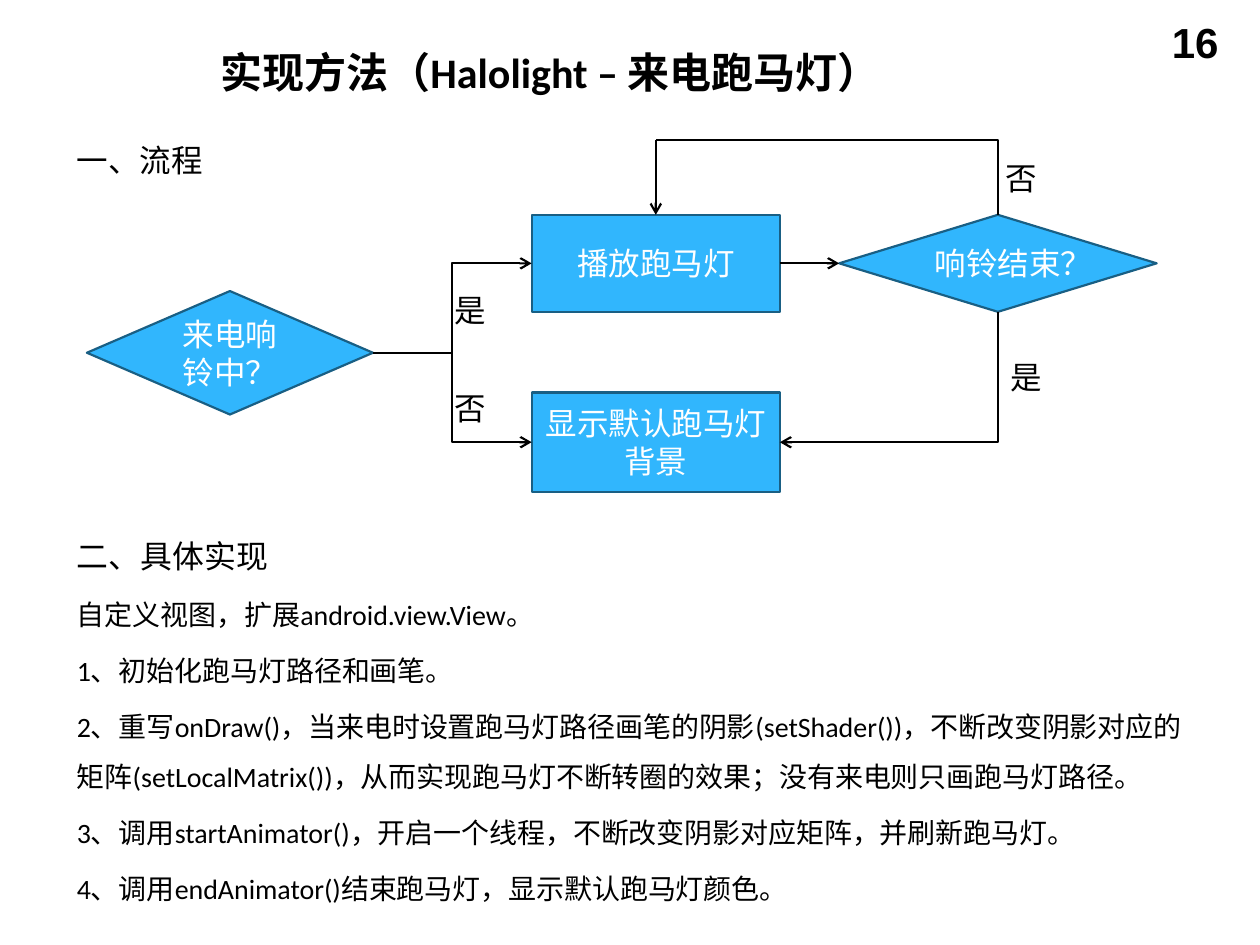
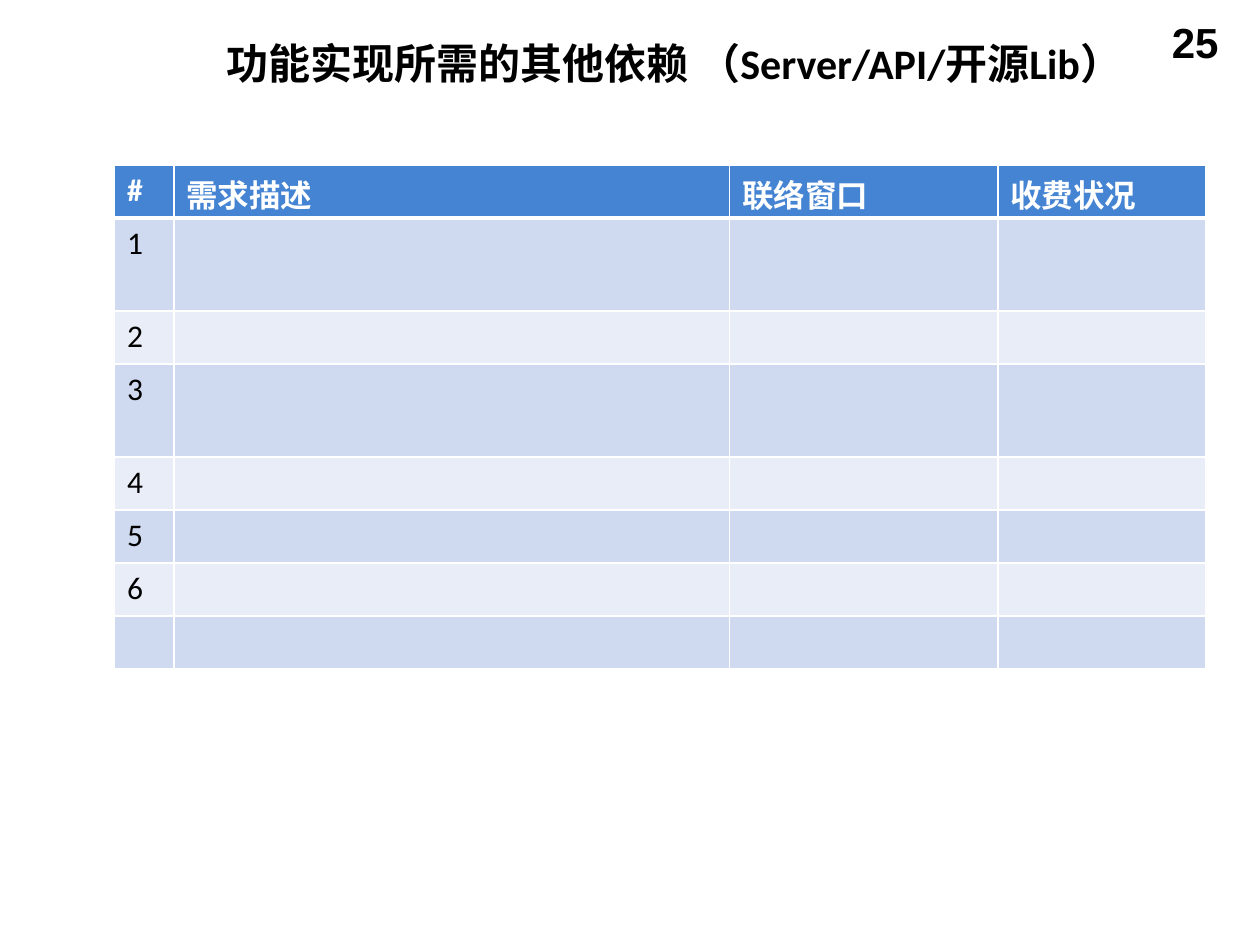
from lxml.etree import SubElement
from pptx import Presentation
from pptx.dml.color import RGBColor
from pptx.enum.shapes import MSO_CONNECTOR as LINK, MSO_SHAPE as SHAPE
from pptx.enum.text import MSO_ANCHOR as ANCHOR, PP_ALIGN as ALIGN
from pptx.oxml.ns import qn
from pptx.util import Inches, Pt

BLACK = RGBColor(0x00, 0x00, 0x00)
WHITE = RGBColor(0xFF, 0xFF, 0xFF)
SKY = RGBColor(0x31, 0xB6, 0xFD)
NAVY = RGBColor(0x19, 0x5F, 0x84)
HEAD = RGBColor(0x45, 0x84, 0xD3)
BANDS = (RGBColor(0xCF, 0xD9, 0xEF), RGBColor(0xE9, 0xED, 0xF7))

# The grid has 100 columns and 75 rows
COLS, ROWS = 100, 75
UNIT = Inches(10) // COLS
THIN = 1.25

# Flow chart: column edges of the steps and row axes of the arrows
ASK, STEP, END = (6.9, 29.6), (42.2, 61.9), (66.6, 91.8)
LOOP, TOP, MID, LOW = 11.1, 20.9, 28, 35.1


def grid(*spans):
    return [round(span * UNIT) for span in spans]


def middle(span):
    return sum(span) / 2


def write(frame, text, size=18, color=BLACK, bold=False, font="Calibri",
          align=ALIGN.LEFT, anchor=ANCHOR.TOP, wrap=True):
    """Fill a text frame with one paragraph per line of text."""
    frame.word_wrap = wrap
    frame.vertical_anchor = anchor
    for i, line in enumerate(text.split("\n")):
        para = frame.add_paragraph() if i else frame.paragraphs[0]
        para.alignment = align
        run = para.add_run()
        run.text = line
        run.font.name, run.font.size = font, Pt(size)
        run.font.bold, run.font.color.rgb = bold, color


def place(holder, *spans):
    holder.left, holder.top, holder.width, holder.height = grid(*spans)
    return holder.text_frame


def label(slide, text, *spans, **form):
    box = slide.shapes.add_textbox(*grid(*spans))
    write(box.text_frame, text, **form)


def start(deck, layout, number, title, *spans):
    """Add a slide with its title and page number."""
    slide = deck.slides.add_slide(deck.slide_layouts[layout])
    write(place(slide.shapes.title, *spans), title, size=24, bold=True,
          anchor=ANCHOR.MIDDLE)
    label(slide, number, 74.4, 0.8, 23.3, 5.2, size=24, bold=True,
          font="Arial", align=ALIGN.RIGHT)
    return slide


def node(slide, kind, text, span, axis, high):
    """Draw a step of the flow, centred on a row axis."""
    left, right = span
    shape = slide.shapes.add_shape(
        kind, *grid(left, axis - high / 2, right - left, high))
    shape.shadow.inherit = False
    shape.fill.solid()
    shape.fill.fore_color.rgb = SKY
    shape.line.color.rgb, shape.line.width = NAVY, Pt(THIN)
    write(shape.text_frame, text, color=WHITE, align=ALIGN.CENTER,
          anchor=ANCHOR.MIDDLE)


def link(slide, kind, *ends, tip="tailEnd", corner=False):
    """Join two grid points; corner gives a single bend."""
    line = slide.shapes.add_connector(kind, *grid(*ends))
    line.line.color.rgb, line.line.width = BLACK, Pt(THIN)
    props = line._element.spPr
    if corner:
        props.find(qn("a:prstGeom")).set("prst", "bentConnector2")
    if tip:
        SubElement(props.get_or_add_ln(), qn("a:" + tip), type="arrow")
    SubElement(props, qn("a:effectLst"))


def paint(cell, color, base):
    """Give a cell white borders, with a chosen base width, and a fill."""
    props = cell._tc.get_or_add_tcPr()
    for side, width in (("L", 1), ("R", 1), ("T", 1), ("B", base)):
        edge = SubElement(props, qn("a:ln" + side), w=str(Pt(width)))
        fill = SubElement(edge, qn("a:solidFill"))
        SubElement(fill, qn("a:srgbClr"), val=str(WHITE))
    cell.fill.solid()
    cell.fill.fore_color.rgb = color


def table(slide, heads, marks, wide, high, left, top):
    shape = slide.shapes.add_table(
        len(high), len(wide), *grid(left, top, sum(wide), sum(high)))
    sheet = shape.table
    for col, width in zip(sheet.columns, grid(*wide)):
        col.width = width
    for r, height in enumerate(grid(*high)):
        sheet.rows[r].height = height
        for c, cell in enumerate(sheet.rows[r].cells):
            paint(cell, BANDS[(r - 1) % 2] if r else HEAD, 1 if r else 3)
            if r == 0:
                write(cell.text_frame, heads[c], color=WHITE, bold=True)
            elif c == 0 and r <= len(marks):
                write(cell.text_frame, marks[r - 1])


def flow(slide):
    # Steps
    node(slide, SHAPE.DIAMOND, "来电响铃中？", ASK, MID, 9.8)
    node(slide, SHAPE.RECTANGLE, "播放跑马灯", STEP, TOP, 7.7)
    node(slide, SHAPE.RECTANGLE, "显示默认跑马灯背景", STEP, LOW, 7.9)
    node(slide, SHAPE.DIAMOND, "响铃结束？", END, TOP, 7.7)

    # Arrows
    for axis in (TOP, LOW):
        link(slide, LINK.ELBOW, ASK[1], MID, STEP[0], axis)
    link(slide, LINK.STRAIGHT, STEP[1], TOP, END[0], TOP)
    link(slide, LINK.ELBOW, STEP[1], LOW, middle(END), TOP + 3.85,
         tip="headEnd", corner=True)
    link(slide, LINK.ELBOW, middle(STEP), LOOP, middle(END), TOP - 3.85,
         tip=None, corner=True)
    link(slide, LINK.STRAIGHT, middle(STEP), LOOP, middle(STEP), TOP - 3.85)

    # Answers
    for text, col, row in (("是", 35.1, 22.6), ("否", 35.1, 30.4),
                           ("是", 79.2, 27.9), ("否", 78.8, 12.1)):
        label(slide, text, col, row, 3.9, 4, wrap=False)


def method(deck):
    slide = start(deck, 1, "16", "实现方法（Halolight – 来电跑马灯）",
                  16.5, 3, 78.5, 5.4)
    label(slide, "一、流程", 5.1, 10.7, 21.1, 4)
    flow(slide)

    # Explanation
    frame = place(slide.placeholders[1], 5.1, 40.6, 90.7, 33.1)
    write(frame, "二、具体实现\n"
          "自定义视图，扩展android.view.View。\n"
          "1、初始化跑马灯路径和画笔。\n"
          "2、重写onDraw()，当来电时设置跑马灯路径画笔的阴影(setShader())，"
          "不断改变阴影对应的矩阵(setLocalMatrix())，"
          "从而实现跑马灯不断转圈的效果；没有来电则只画跑马灯路径。\n"
          "3、调用startAnimator()，开启一个线程，不断改变阴影对应矩阵，并刷新跑马灯。\n"
          "4、调用endAnimator()结束跑马灯，显示默认跑马灯颜色。", size=16)
    frame.paragraphs[0].runs[0].font.size = Pt(18.2)
    for para in frame.paragraphs:
        para.line_spacing, para.space_before = 1.5, Pt(3.2)
        props = para._p.get_or_add_pPr()
        props.set("marL", "0")
        props.set("indent", "0")
        SubElement(props, qn("a:buNone"))


def needs(deck):
    slide = start(deck, 5, "25",
                  "功能实现所需的其他依赖 （Server/API/开源Lib）",
                  17, 2.5, 76.3, 5)
    table(slide, ("#", "需求描述", "联络窗口", "收费状况"), "123456",
          wide=(4.7, 44.1, 21.3, 16.5),
          high=(4.2, 7.4, 4.2, 7.4, 4.2, 4.2, 4.2, 4.2), left=9.1, top=13.1)


def main():
    deck = Presentation()
    deck.slide_width, deck.slide_height = COLS * UNIT, ROWS * UNIT
    method(deck)
    needs(deck)
    deck.save("out.pptx")


if __name__ == "__main__":
    main()
